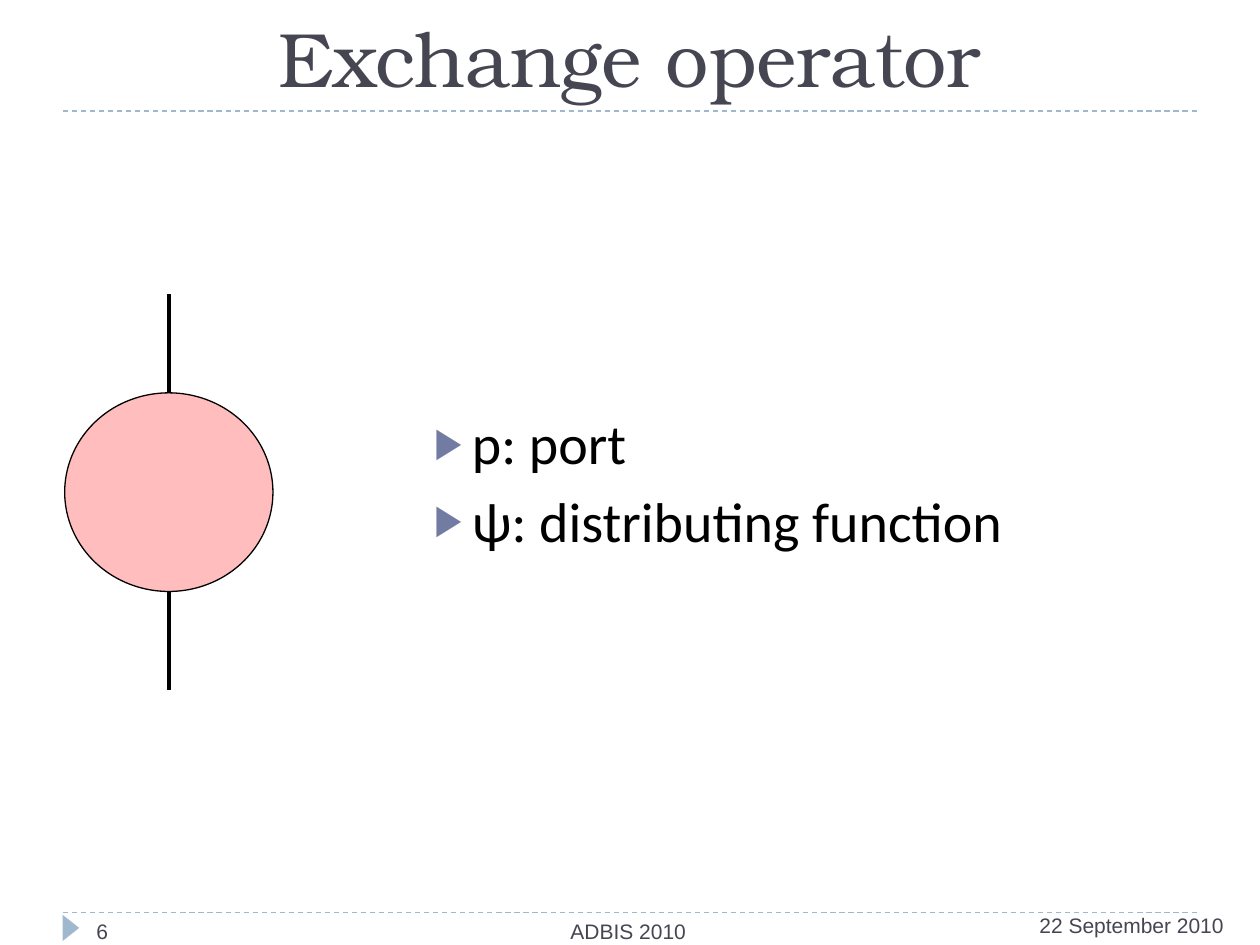
"""Build the slide about the exchange operator."""
from lxml.etree import SubElement
from pptx import Presentation
from pptx.dml.color import RGBColor
from pptx.enum.dml import MSO_LINE
from pptx.enum.shapes import MSO_CONNECTOR, MSO_SHAPE
from pptx.enum.text import MSO_ANCHOR, PP_ALIGN
from pptx.oxml.ns import qn
from pptx.util import Pt

BLACK = RGBColor(0x00, 0x00, 0x00)
SLATE = RGBColor(0x46, 0x46, 0x53)
PALE_BLUE = RGBColor(0x9F, 0xB8, 0xCD)
PINK = RGBColor(0xFF, 0xBD, 0xBD)
BULLET_COLOR = RGBColor(0x72, 0x7C, 0xA3)

WIDTH, HEIGHT = 720, 540
MARGIN = 36
RULE_TOPS = (63.5, 521.5)
TITLE = "Exchange operator"
TITLE_BOX = (MARGIN, 12.5, WIDTH - 2 * MARGIN, 50)
FOOTERS = [
    ("22 September 2010", 594, 124.5, PP_ALIGN.LEFT, (0, 0, 7.2, 3.6)),
    ("ADBIS 2010", 221, 276, PP_ALIGN.CENTER, (7.2, 3.6, 7.2, 3.6)),
    ("6", 48, 156, PP_ALIGN.LEFT, (7.2, 3.6, 7.2, 3.6)),
]
FOOTER_TOP, FOOTER_HEIGHT = 521.5, 18.5
DEFINITIONS = ["p: port", "ψ: distributing function"]
DEFINITION_BOX = (241, 230, 430.5, 105)
INDENT = 21.6
OPERATOR_BOX = (37, 224.5, 119, 113.5)
PORT_LENGTH = 56.5


def add_line(slide, start, end, color, width, dash=None):
    line = slide.shapes.add_connector(MSO_CONNECTOR.STRAIGHT, *map(Pt, start + end))
    line.line.color.rgb = color
    line.line.width = Pt(width)
    if dash:
        line.line.dash_style = dash
    SubElement(line._element.spPr, qn("a:effectLst"))


def add_shape(slide, kind, box, fill, outline=None):
    shape = slide.shapes.add_shape(kind, *map(Pt, box))
    shape.shadow.inherit = False
    shape.fill.solid()
    shape.fill.fore_color.rgb = fill
    if outline:
        shape.line.color.rgb = outline
        shape.line.width = Pt(0.75)
    else:
        shape.line.fill.background()
    return shape


def add_bullet(paragraph):
    properties = paragraph._p.get_or_add_pPr()
    properties.set("marL", str(Pt(INDENT)))
    properties.set("indent", str(-Pt(INDENT)))
    color = SubElement(properties, qn("a:buClr"))
    SubElement(color, qn("a:srgbClr"), val=str(BULLET_COLOR))
    SubElement(properties, qn("a:buSzPct"), val="76000")
    SubElement(properties, qn("a:buFont"), typeface="Arial")
    SubElement(properties, qn("a:buChar"), char="▶")


def add_text(slide, box, texts, font, size, color, align=PP_ALIGN.LEFT,
             anchor=MSO_ANCHOR.TOP, insets=(7.2, 3.6, 7.2, 3.6), bullets=False):
    frame = slide.shapes.add_textbox(*map(Pt, box)).text_frame
    frame.word_wrap = True
    frame.vertical_anchor = anchor
    frame.margin_left, frame.margin_top, frame.margin_right, frame.margin_bottom = map(Pt, insets)
    for index, text in enumerate(texts):
        paragraph = frame.add_paragraph() if index else frame.paragraphs[0]
        paragraph.alignment = align
        if index:
            paragraph.space_before = Pt(6)
        if bullets:
            add_bullet(paragraph)
        run = paragraph.add_run()
        run.text = text
        run.font.name = font
        run.font.size = Pt(size)
        run.font.color.rgb = color


def add_operator(slide):
    left, top, width, height = OPERATOR_BOX
    center, bottom = left + width / 2, top + height
    add_shape(slide, MSO_SHAPE.OVAL, OPERATOR_BOX, PINK, BLACK)
    for start, end in ((top, top - PORT_LENGTH), (bottom + PORT_LENGTH, bottom)):
        add_line(slide, (center, start), (center, end), BLACK, 2)


def main():
    presentation = Presentation()
    presentation.slide_width, presentation.slide_height = Pt(WIDTH), Pt(HEIGHT)
    slide = presentation.slides.add_slide(presentation.slide_layouts[6])
    for top in RULE_TOPS:
        add_line(slide, (MARGIN, top), (WIDTH - MARGIN, top), PALE_BLUE, 0.75, MSO_LINE.DASH)
    marker = add_shape(slide, MSO_SHAPE.ISOSCELES_TRIANGLE, (33, 525.5, 15, 9.5), PALE_BLUE)
    marker.rotation = 90
    add_text(slide, TITLE_BOX, [TITLE], "TeX Gyre Bonum", 44, SLATE,
             PP_ALIGN.CENTER, MSO_ANCHOR.BOTTOM)
    for text, left, width, align, insets in FOOTERS:
        add_text(slide, (left, FOOTER_TOP, width, FOOTER_HEIGHT), [text],
                 "Arial", 12, SLATE, align, insets=insets)
    add_operator(slide)
    add_text(slide, DEFINITION_BOX, DEFINITIONS, "Calibri", 32, BLACK, bullets=True)
    presentation.save("out.pptx")


if __name__ == "__main__":
    main()
